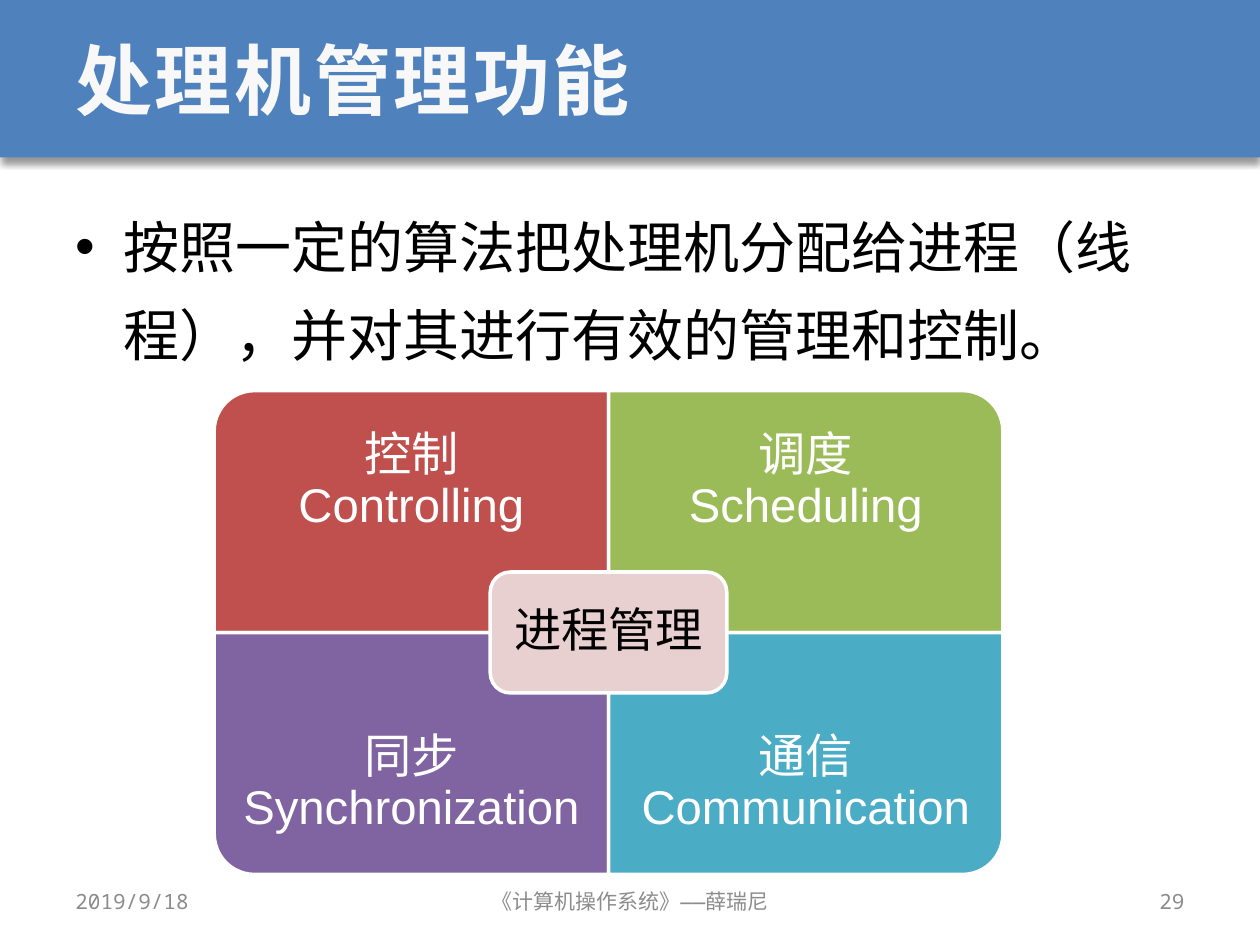
from lxml.etree import SubElement
from pptx import Presentation
from pptx.dml.color import RGBColor
from pptx.enum.shapes import MSO_SHAPE as Shape
from pptx.enum.text import MSO_ANCHOR as Anchor, PP_ALIGN as Align
from pptx.oxml import parse_xml
from pptx.oxml.ns import nsdecls, qn
from pptx.util import Inches, Pt

COLORS = {
    "band": "4F81BD", "title": "F8F8F8", "body": "000000", "footer": "8C8C8C",
    "white": "FFFFFF", "center": "E8D0D0", "shadow": "000000",
    "control": "C0504D", "schedule": "9BBB59", "sync": "8064A2", "communicate": "4BACC6",
}
MONO, SANS = "Noto Sans Mono", "Arial"
WIDTH, HEIGHT = 10, 7.5
MARGIN = WIDTH * 0.05
BAND_HEIGHT = HEIGHT / 6
GRID_LEFT, GRID_TOP = 1.7, 3.1
CELL_WIDTH, CELL_HEIGHT = 3.13, 1.92
LABEL_HEIGHT = CELL_HEIGHT * 0.75
QUADRANTS = [
    (0, 0, 270, "control", ("控制", "Controlling")),
    (1, 0, 0, "schedule", ("调度", "Scheduling")),
    (0, 1, 180, "sync", ("同步", "Synchronization")),
    (1, 1, 90, "communicate", ("通信", "Communication")),
]


def color(name):
    """Return the named colour."""
    return RGBColor.from_string(COLORS[name])


def add_block(slide, kind, box, fill, outline=None, rotation=0):
    """Add a filled preset shape, with the box given as it appears after rotation."""
    left, top, width, height = box
    if rotation % 180:
        left, top = left + (width - height) / 2, top + (height - width) / 2
        width, height = height, width
    shape = slide.shapes.add_shape(kind, *map(Inches, (left, top, width, height)))
    shape.shadow.inherit = False
    shape.rotation = rotation
    shape.fill.solid()
    shape.fill.fore_color.rgb = color(fill)
    if outline:
        shape.line.color.rgb = color(outline)
        shape.line.width = Pt(2)
    else:
        shape.line.fill.background()
    return shape


def add_band(slide):
    """Add the title band with its soft shadow below."""
    band = add_block(slide, Shape.RECTANGLE, (0, 0, WIDTH, BAND_HEIGHT), "band")
    effects = band._element.spPr.find(qn("a:effectLst"))
    effects.append(parse_xml(
        f'<a:outerShdw {nsdecls("a")} blurRad="{Pt(4)}" dist="{Pt(3)}" dir="5400000" '
        f'algn="t" rotWithShape="0"><a:srgbClr val="{COLORS["shadow"]}">'
        '<a:alpha val="40000"/></a:srgbClr></a:outerShdw>'))


def add_text(slide, box, lines, size, fill, font=MONO, align=Align.LEFT,
             anchor=Anchor.MIDDLE, spacing=1.0, inset=None):
    """Add a wrapped text box holding one paragraph and return that paragraph."""
    frame = slide.shapes.add_textbox(*map(Inches, box)).text_frame
    frame.word_wrap = True
    frame.vertical_anchor = anchor
    if inset is not None:
        frame.margin_left = frame.margin_right = Inches(inset)
        frame.margin_top = frame.margin_bottom = Inches(inset)
    paragraph = frame.paragraphs[0]
    paragraph.alignment = align
    paragraph.line_spacing = spacing
    for index, line in enumerate(lines):
        if index:
            paragraph.add_line_break()
        run = paragraph.add_run()
        run.text = line
        run.font.size = Pt(size)
        run.font.name = font
        run.font.color.rgb = color(fill)
        SubElement(run.font._element, qn("a:ea"), typeface=font)
    return paragraph


def add_title(slide, text):
    """Add the bold, letter-spaced title on the band."""
    box = (MARGIN, 0, WIDTH - 2 * MARGIN, BAND_HEIGHT)
    font = add_text(slide, box, [text], 44, "title").runs[0].font
    font.bold = True
    font._element.set("spc", "150")


def add_bullet(slide, text):
    """Add the bulleted body paragraph with a hanging indent."""
    box = (MARGIN, 1.48, WIDTH - 2 * MARGIN, 5.33)
    paragraph = add_text(slide, box, [text], 32, "body", anchor=Anchor.TOP, spacing=1.3)
    properties = paragraph._p.get_or_add_pPr()
    properties.set("marL", str(Inches(0.38)))
    properties.set("indent", str(-Inches(0.38)))
    SubElement(properties, qn("a:buFont"), typeface=SANS)
    SubElement(properties, qn("a:buChar"), char="•")


def add_label(slide, box, lines, fill, inset):
    """Add a centred diagram label."""
    add_text(slide, box, lines, 27, fill, SANS, Align.CENTER, spacing=0.9, inset=inset)


def add_matrix(slide):
    """Add the four quadrants and the central box over their crossing."""
    for column, row, rotation, fill, lines in QUADRANTS:
        left = GRID_LEFT + column * CELL_WIDTH
        top = GRID_TOP + row * CELL_HEIGHT
        add_block(slide, Shape.ROUND_1_RECTANGLE,
                  (left, top, CELL_WIDTH, CELL_HEIGHT), fill, "white", rotation)
        label_top = top + row * (CELL_HEIGHT - LABEL_HEIGHT)
        add_label(slide, (left, label_top, CELL_WIDTH, LABEL_HEIGHT), lines, "white", 0.21)
    width, height = CELL_WIDTH * 0.6, CELL_HEIGHT * 0.5
    left = GRID_LEFT + CELL_WIDTH - width / 2
    top = GRID_TOP + CELL_HEIGHT - height / 2
    add_block(slide, Shape.ROUNDED_RECTANGLE, (left, top, width, height), "center", "white")
    pad = 0.05
    inner = (left + pad, top + pad, width - 2 * pad, height - 2 * pad)
    add_label(slide, inner, ["进程管理"], "body", 0.11)


def add_footer(slide):
    """Add the date, course name and slide number."""
    for left, width, text, align in (
        (MARGIN, 2.33, "2019/9/18", Align.LEFT),
        ((WIDTH - 3.17) / 2, 3.17, "《计算机操作系统》——薛瑞尼", Align.CENTER),
        (WIDTH - MARGIN - 2.33, 2.33, "29", Align.RIGHT),
    ):
        add_text(slide, (left, 6.95, width, 0.4), [text], 12, "footer", align=align)


def main():
    """Build the slide and save it."""
    presentation = Presentation()
    presentation.slide_width, presentation.slide_height = Inches(WIDTH), Inches(HEIGHT)
    slide = presentation.slides.add_slide(presentation.slide_layouts[6])
    add_band(slide)
    add_title(slide, "处理机管理功能")
    add_bullet(slide, "按照一定的算法把处理机分配给进程（线程），并对其进行有效的管理和控制。")
    add_footer(slide)
    add_matrix(slide)
    presentation.save("out.pptx")


if __name__ == "__main__":
    main()
